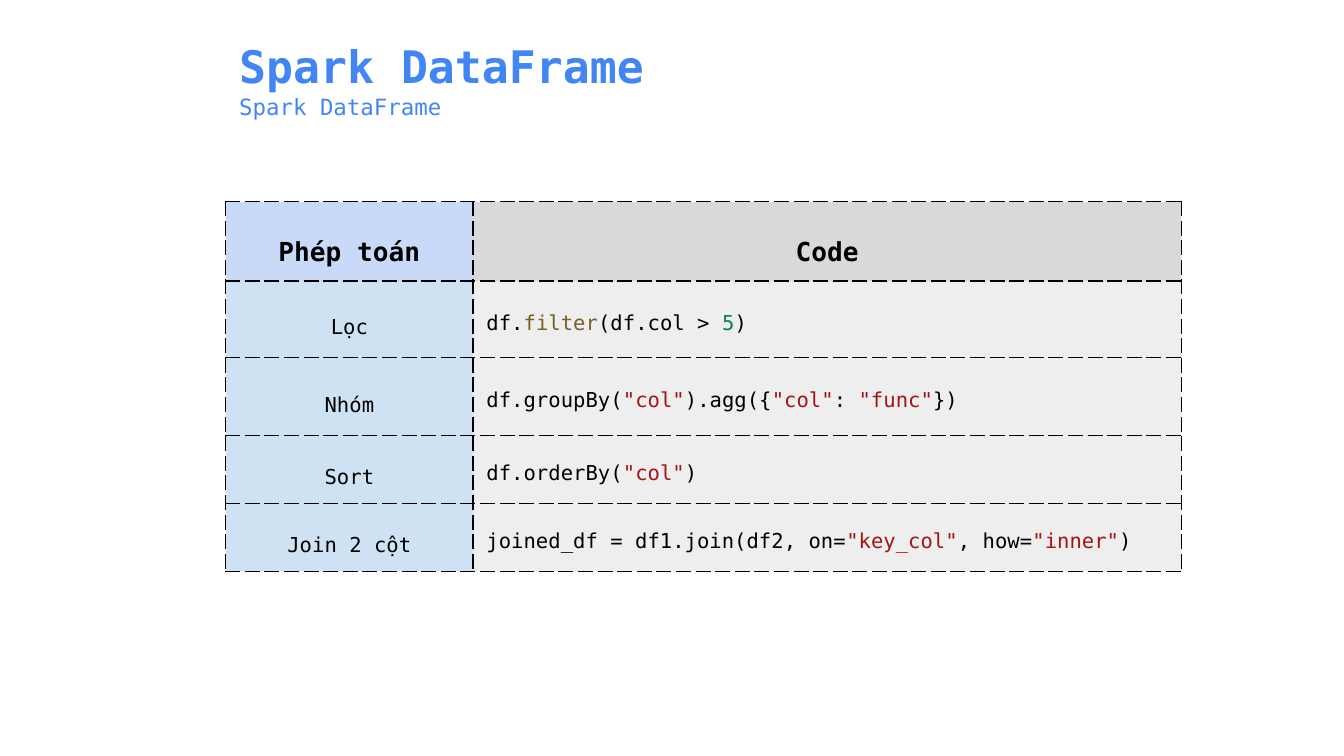
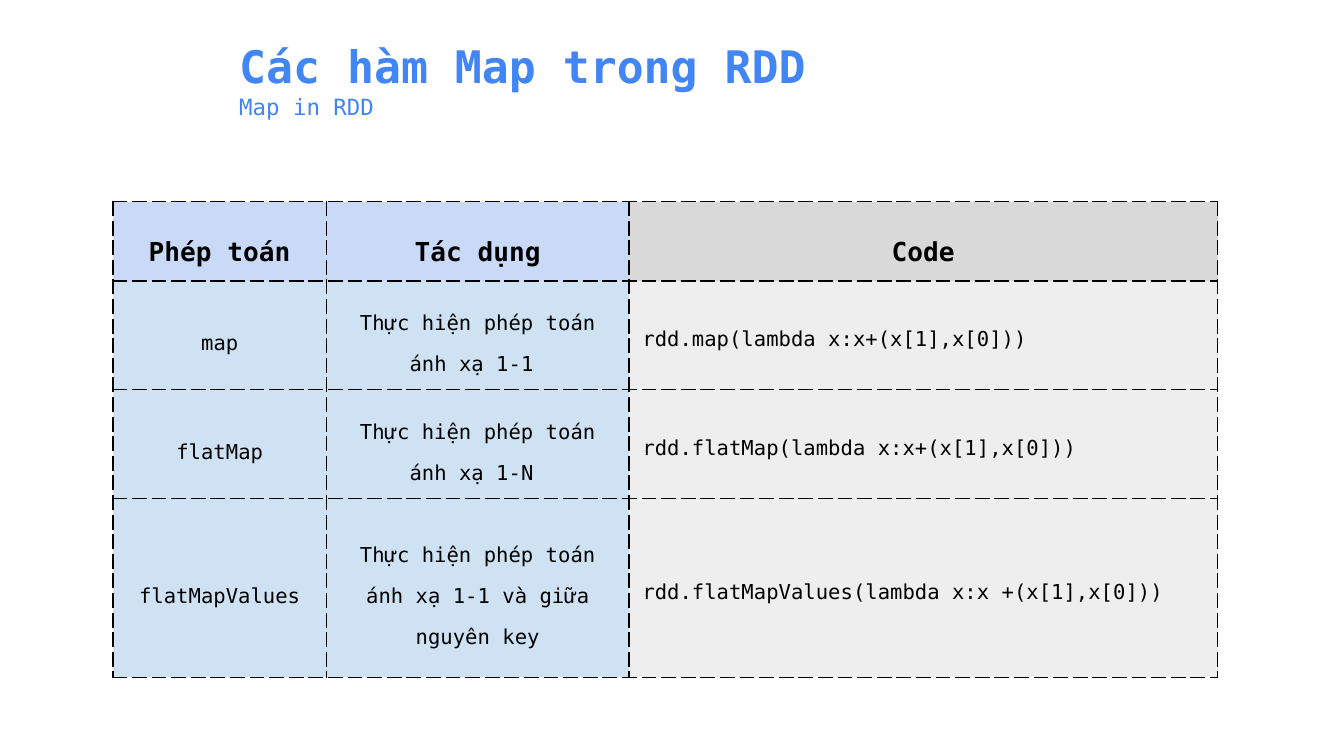
from lxml.etree import SubElement
from pptx import Presentation
from pptx.dml.color import RGBColor
from pptx.enum.text import MSO_ANCHOR, MSO_AUTO_SIZE, PP_ALIGN
from pptx.oxml.ns import qn
from pptx.util import Inches, Pt

FONT = "DejaVu Sans Mono"
BLUE, BLACK = "4285F4", "000000"
HEAD_FILLS = ("C9DAF8", "D9D9D9")
BODY_FILLS = ("CFE2F3", "EEEEEE")
STRING, NUMBER, METHOD = "A31515", "098156", "795E26"
TITLE_BOX = (1.68, 0.19, 7.07, 0.74)
PAD = Inches(0.1)


def rgb(code):
    """Turn a hex string into a colour."""
    return RGBColor.from_string(code)


def style(run, size, color=BLACK, bold=False):
    """Format one run."""
    font = run.font
    font.name, font.size, font.bold = FONT, Pt(size), bold
    font.color.rgb = rgb(color)


def pad(item):
    """Set equal margins on a cell or a text frame."""
    item.margin_left = item.margin_right = PAD
    item.margin_top = item.margin_bottom = PAD


def add_title(slide, box, title, sub):
    """Fill the title placeholder with a heading and a smaller line."""
    shape = slide.shapes.title
    shape.left, shape.top, shape.width, shape.height = map(Inches, box)
    frame = shape.text_frame
    frame.text = f"{title}\n{sub}"
    frame.word_wrap = True
    frame.auto_size = MSO_AUTO_SIZE.NONE
    frame.vertical_anchor = MSO_ANCHOR.TOP
    pad(frame)
    for para, size, bold in zip(frame.paragraphs, (24, 12), (True, False)):
        para.alignment = PP_ALIGN.LEFT
        para.space_before = Pt(0)
        style(para.runs[0], size, BLUE, bold)


def add_edges(cell):
    """Draw dashed lines on all four sides of a cell."""
    props = cell._tc.get_or_add_tcPr()
    for side in "LRTB":
        line = SubElement(props, qn(f"a:ln{side}"), w=str(Pt(0.75)))
        fill = SubElement(line, qn("a:solidFill"))
        SubElement(fill, qn("a:srgbClr"), val=BLACK)
        SubElement(line, qn("a:prstDash"), val="dash")


def code_color(part):
    """Pick the colour of a piece of code."""
    if part.startswith('"'):
        return STRING
    if part.isdigit():
        return NUMBER
    return METHOD if part == "filter" else BLACK


def fill_label(cell, text, head):
    """Write a centred heading or label."""
    para = cell.text_frame.paragraphs[0]
    para.text = text
    para.alignment = PP_ALIGN.CENTER
    para.line_spacing = 1.71
    para.space_before = para.space_after = Pt(19)
    style(para.runs[0], 14 if head else 11, bold=head)


def fill_code(cell, text):
    """Write code whose coloured pieces are parted by bars."""
    para = cell.text_frame.paragraphs[0]
    para.alignment = PP_ALIGN.LEFT
    para.line_spacing = 1.36
    for part in text.split("|"):
        run = para.add_run()
        run.text = part
        style(run, 11, code_color(part))


def add_grid(slide, left, top, widths, heights, rows):
    """Add a table with a heading row and code in the last column."""
    size = map(Inches, (left, top, sum(widths), sum(heights)))
    table = slide.shapes.add_table(len(rows), len(widths), *size).table
    table.horz_banding = False
    for col, width in zip(table.columns, widths):
        col.width = Inches(width)
    for row, height in zip(table.rows, heights):
        row.height = Inches(height)
    for r, texts in enumerate(rows):
        for c, text in enumerate(texts):
            cell = table.cell(r, c)
            head, last = r == 0, c == len(widths) - 1
            add_edges(cell)
            cell.fill.solid()
            fills = HEAD_FILLS if head else BODY_FILLS
            cell.fill.fore_color.rgb = rgb(fills[last])
            cell.vertical_anchor = MSO_ANCHOR.MIDDLE
            pad(cell)
            if last and not head:
                fill_code(cell, text)
            else:
                fill_label(cell, text, head)


def add_page(deck, title, sub, *grid):
    """Add a slide with a title and a table."""
    slide = deck.slides.add_slide(deck.slide_layouts[5])
    add_title(slide, TITLE_BOX, title, sub)
    add_grid(slide, *grid)


def main():
    """Build and save the deck."""
    deck = Presentation()
    deck.slide_width = Inches(10)
    deck.slide_height = Inches(10) * 9 // 16
    add_page(
        deck, "Spark DataFrame", "Spark DataFrame",
        1.68, 1.5, (1.84, 5.27), (0.39, 0.57, 0.58, 0.45, 0.46),
        [
            ("Phép toán", "Code"),
            ("Lọc", "df.|filter|(df.col > |5|)"),
            ("Nhóm", 'df.groupBy(|"col"|).agg({|"col"|: |"func"|})'),
            ("Sort", 'df.orderBy(|"col"|)'),
            ("Join 2 cột",
             'joined_df = df1.join(df2, on=|"key_col"|, how=|"inner"|)'),
        ],
    )
    add_page(
        deck, "Các hàm Map trong RDD", "Map in RDD",
        0.84, 1.5, (1.59, 2.25, 4.38), (0.45, 0.7, 0.7, 1.33),
        [
            ("Phép toán", "Tác dụng", "Code"),
            ("map", "Thực hiện phép toán ánh xạ 1-1 ",
             "rdd.map(lambda x:x+(x[1],x[0]))"),
            ("flatMap", "Thực hiện phép toán ánh xạ 1-N ",
             "rdd.flatMap(lambda x:x+(x[1],x[0]))"),
            ("flatMapValues",
             "Thực hiện phép toán ánh xạ 1-1 và giữa nguyên key",
             "rdd.flatMapValues(lambda x:x +(x[1],x[0]))"),
        ],
    )
    deck.save("out.pptx")


if __name__ == "__main__":
    main()
